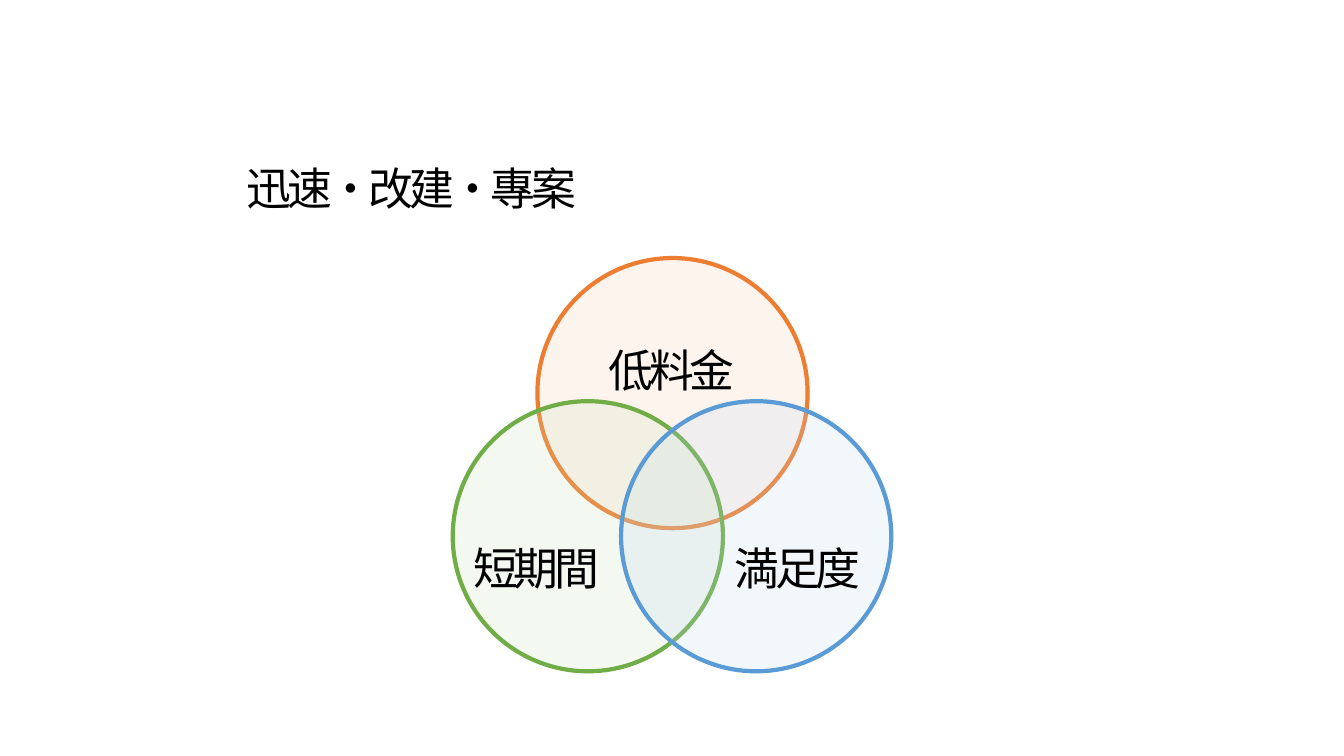
"""Builds a slide with a heading above three overlapping, labelled circles."""
from dataclasses import dataclass

from lxml.etree import SubElement
from pptx import Presentation
from pptx.dml.color import RGBColor
from pptx.enum.shapes import MSO_SHAPE as Preset
from pptx.enum.text import MSO_AUTO_SIZE as AutoSize, PP_ALIGN as Align
from pptx.oxml.ns import qn
from pptx.slide import Slide
from pptx.util import Pt

PX = 9144


@dataclass(frozen=True)
class Theme:
    font: str = "Noto Sans CJK JP"
    ink: str = "000000"
    orange: str = "ED7D31"
    orange_tint: str = "F8CBAD"
    green: str = "70AD47"
    green_tint: str = "C5E0B4"
    blue: str = "5B9BD5"
    blue_tint: str = "BDD7EE"
    text_size: int = 32
    tracking: int = -3
    outline: int = 3
    opacity: int = 20


@dataclass(frozen=True)
class Benefit:
    label: str
    left: int
    top: int
    label_left: int
    label_top: int
    outline: str
    tint: str


THEME = Theme()
DIAMETER = 268
LABEL_WIDTH = 186
TEXT_HEIGHT = 64
BENEFITS = (
    Benefit("低料金", 533, 256, 573, 335, THEME.orange, THEME.orange_tint),
    Benefit("短期間", 449, 398, 439, 532, THEME.green, THEME.green_tint),
    Benefit("満足度", 616, 398, 698, 532, THEME.blue, THEME.blue_tint),
)


def add_text(slide: Slide, text: str, *, left: int, top: int, width: int,
             align: Align = Align.LEFT) -> None:
    box = slide.shapes.add_textbox(left * PX, top * PX, width * PX, TEXT_HEIGHT * PX)
    frame = box.text_frame
    frame.word_wrap = True
    frame.auto_size = AutoSize.SHAPE_TO_FIT_TEXT
    paragraph = frame.paragraphs[0]
    paragraph.alignment = align
    run = paragraph.add_run()
    run.text = text
    run.font.size = Pt(THEME.text_size)
    run.font.color.rgb = RGBColor.from_string(THEME.ink)
    run.font.name = THEME.font
    properties = run.font._element
    properties.set("spc", str(THEME.tracking * 100))
    SubElement(properties, qn("a:ea"), typeface=THEME.font)


def add_circle(slide: Slide, benefit: Benefit) -> None:
    circle = slide.shapes.add_shape(
        Preset.OVAL, benefit.left * PX, benefit.top * PX, DIAMETER * PX, DIAMETER * PX)
    circle.shadow.inherit = False
    circle.fill.solid()
    circle.fill.fore_color.rgb = RGBColor.from_string(benefit.tint)
    tint = circle._element.spPr.find(qn("a:solidFill")).find(qn("a:srgbClr"))
    SubElement(tint, qn("a:alpha"), val=str(THEME.opacity * 1000))
    circle.line.color.rgb = RGBColor.from_string(benefit.outline)
    circle.line.width = Pt(THEME.outline)


def main() -> None:
    deck = Presentation()
    deck.slide_width, deck.slide_height = 1333 * PX, 750 * PX
    slide = deck.slides.add_slide(deck.slide_layouts[6])
    add_text(slide, "迅速・改建・專案", left=235, top=155, width=864)
    for benefit in BENEFITS:
        add_circle(slide, benefit)
    for benefit in BENEFITS:
        add_text(slide, benefit.label, left=benefit.label_left, top=benefit.label_top,
                 width=LABEL_WIDTH, align=Align.CENTER)
    deck.save("out.pptx")


if __name__ == "__main__":
    main()
